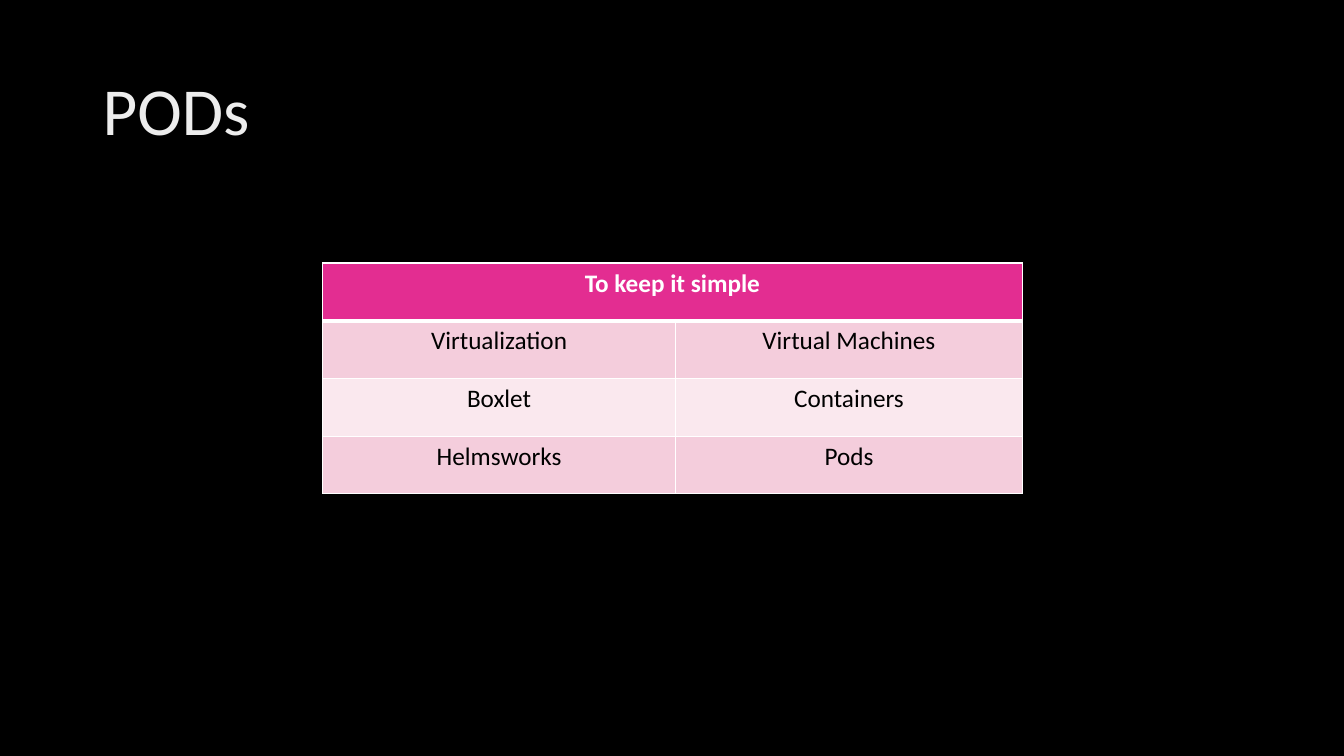
import pptx
import pptx.dml.color
import pptx.enum.text
import pptx.oxml
import pptx.oxml.ns
import pptx.util
from pptx.util import Inches, Pt

COLORS = {
    "background": "000000",
    "title": "EDEDED",
    "header": "E32D91",
    "header_text": "FFFFFF",
    "band_dark": "F4CDDC",
    "band_light": "FAE8EE",
    "body_text": "000000",
    "border": "FFFFFF",
}
FONT = "Calibri"
HEADING = "To keep it simple"
PAIRS = [
    ("Virtualization", "Virtual Machines"),
    ("Boxlet", "Containers"),
    ("Helmsworks", "Pods"),
]


def rgb(name):
    return pptx.dml.color.RGBColor.from_string(COLORS[name])


def style_font(paragraph, size, color, bold=False):
    paragraph.font.name = FONT
    paragraph.font.size = Pt(size)
    paragraph.font.bold = bold
    paragraph.font.color.rgb = rgb(color)


def set_borders(cell, **widths):
    """Draw the four cell borders, 1 pt unless a side is given a width."""
    properties = cell._tc.get_or_add_tcPr()
    for position, side in enumerate(("L", "R", "T", "B")):
        width = Pt(widths.get(side, 1))
        line = pptx.oxml.parse_xml(
            f'<a:ln{side} {pptx.oxml.ns.nsdecls("a")} w="{width}">'
            f'<a:solidFill><a:srgbClr val="{COLORS["border"]}"/></a:solidFill>'
            f'</a:ln{side}>'
        )
        properties.insert(position, line)


def fill_cell(cell, text, fill, color, bold=False, **border_widths):
    cell.fill.solid()
    cell.fill.fore_color.rgb = rgb(fill)
    cell.text = text
    label = cell.text_frame.paragraphs[0]
    label.alignment = pptx.enum.text.PP_ALIGN.CENTER
    style_font(label, 18, color, bold)
    set_borders(cell, **border_widths)


def add_title(slide, text, left, top, width, height):
    frame = slide.shapes.add_textbox(left, top, width, height).text_frame
    frame.word_wrap = True
    frame.vertical_anchor = pptx.enum.text.MSO_ANCHOR.MIDDLE
    title = frame.paragraphs[0]
    title.text = text
    title.line_spacing = 0.9
    style_font(title, 48, "title")


def add_comparison(slide, heading, pairs, left, top, width, height):
    row_count = len(pairs) + 1
    table = slide.shapes.add_table(row_count, 2, left, top, width, height).table
    first_width = Inches(3.5)
    table.columns[0].width = first_width
    table.columns[1].width = width - first_width

    # Heading across both columns
    table.cell(0, 0).merge(table.cell(0, 1))
    fill_cell(table.cell(0, 0), heading, "header", "header_text", bold=True, B=3)
    set_borders(table.cell(0, 1), B=3)

    # Banded rows
    for row, pair in enumerate(pairs, start=1):
        band = "band_dark" if row % 2 else "band_light"
        for column, term in enumerate(pair):
            fill_cell(table.cell(row, column), term, band, "body_text",
                      T=3 if row == 1 else 1)


def main():
    deck = pptx.Presentation()
    deck.slide_width, deck.slide_height = Inches(13.33), Inches(7.5)
    slide = deck.slides.add_slide(deck.slide_layouts[6])
    slide.background.fill.solid()
    slide.background.fill.fore_color.rgb = rgb("background")

    add_title(slide, "PODs",
              Inches(0.92), Inches(0.4), Inches(11.83), Inches(1.45))
    add_comparison(slide, HEADING, PAIRS,
                   Inches(3.2), Inches(2.61), Inches(6.94), Inches(2.29))
    deck.save("out.pptx")


if __name__ == "__main__":
    main()
